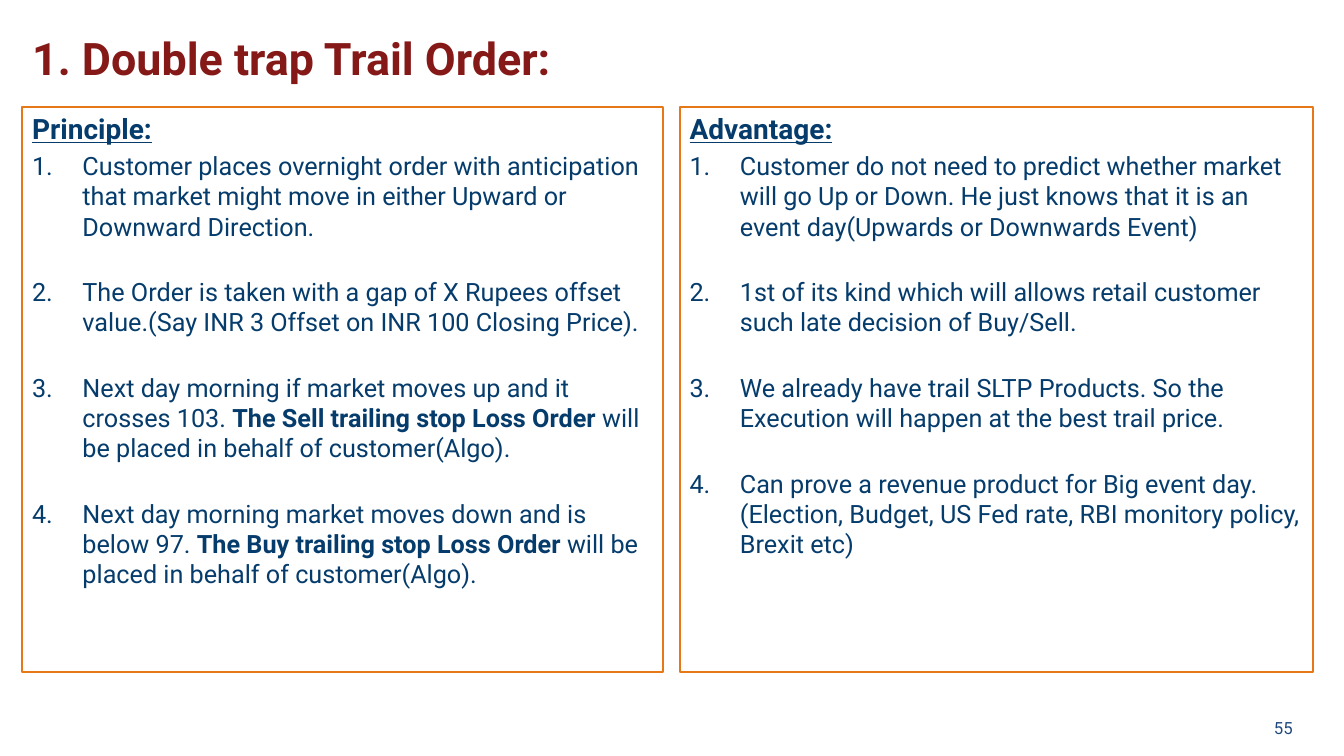
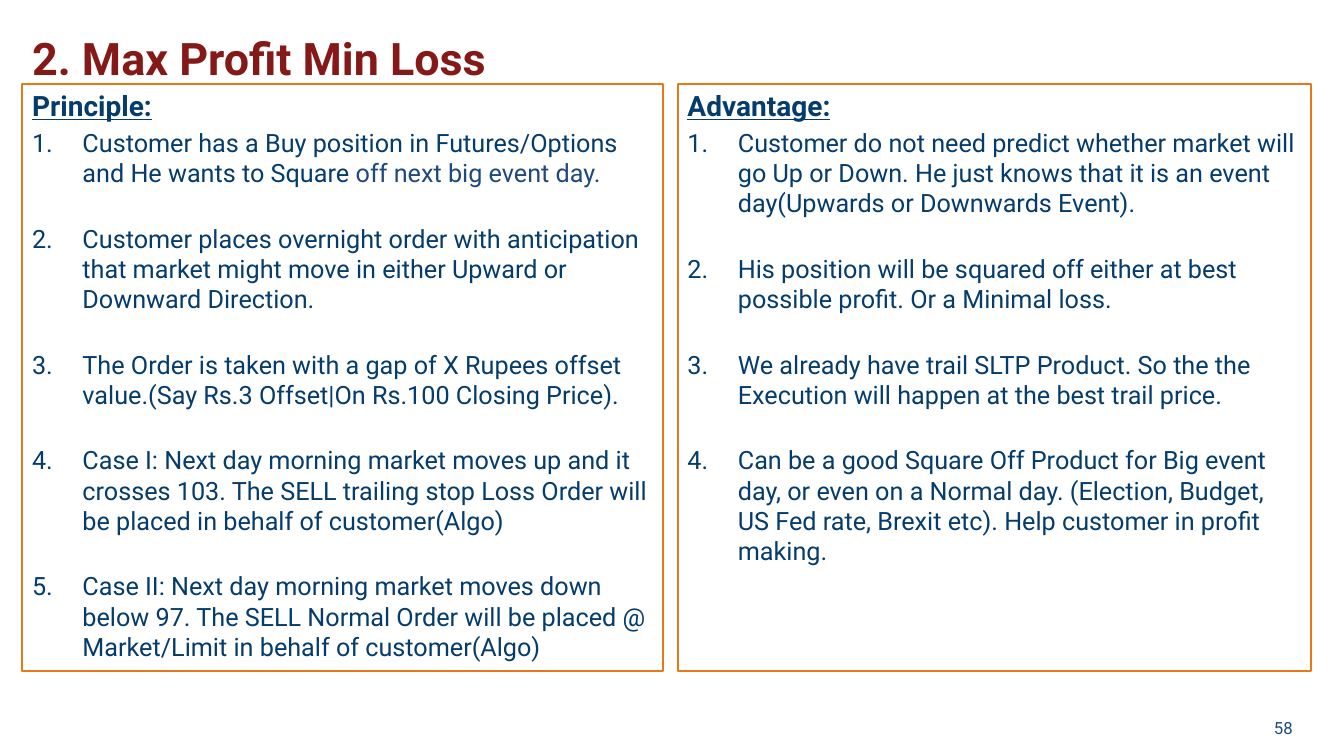
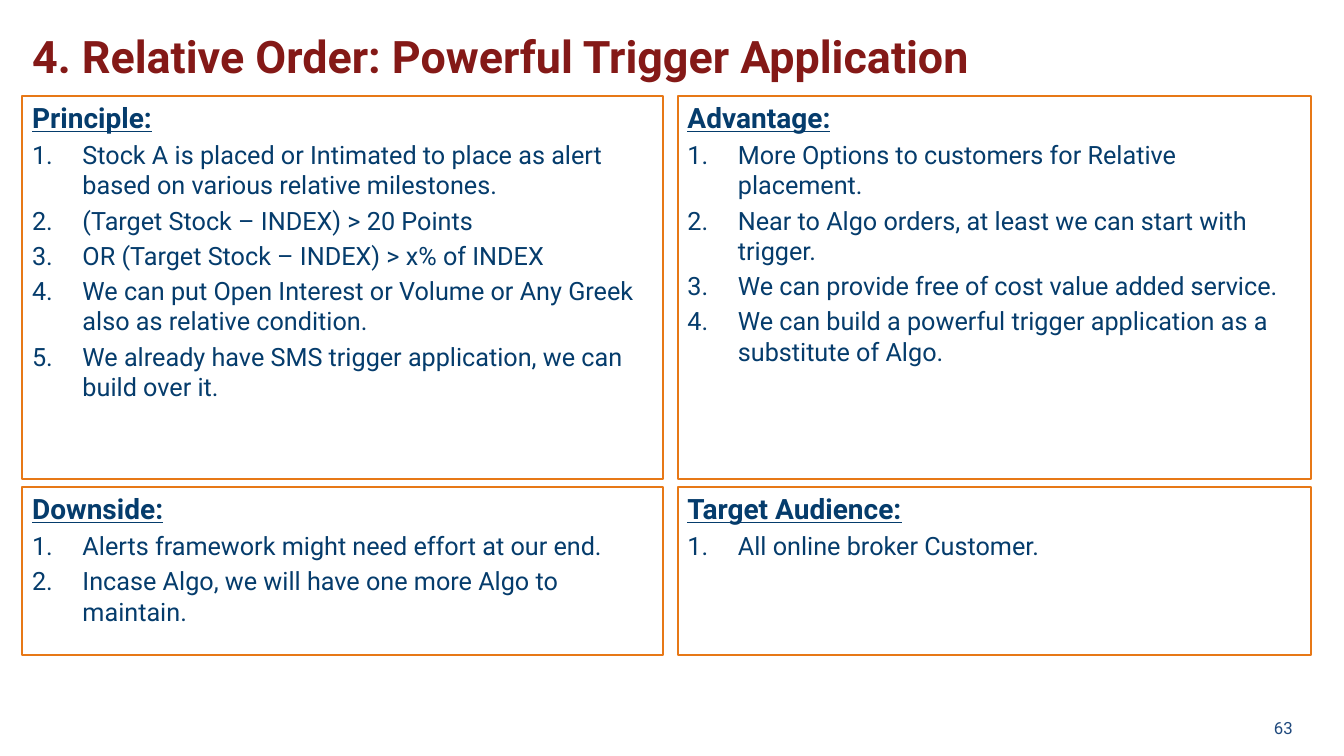
"""Build three slides that explain trading order types in outlined panels."""
from lxml.etree import SubElement
from pptx import Presentation
from pptx.dml.color import RGBColor
from pptx.enum.shapes import MSO_SHAPE
from pptx.enum.text import MSO_ANCHOR, PP_ALIGN
from pptx.oxml.ns import qn
from pptx.util import Inches, Pt

NAVY, BLUE, MAROON, ORANGE = "053C6C", "1F497D", "841917", "E77817"
FONT = "Roboto"
LEFT, LEFT_WIDTH, RIGHT_WIDTH = 0.22, 6.36, 6.28
HEADING_GAP, TIGHT, LOOSE = 3.6, 3.6, 25.2


def paint(color, value):
    """Set a colour format to a hex value."""
    color.rgb = RGBColor.from_string(value)


def write(paragraph, text, size=18, color=NAVY, bold=False, underline=False):
    """Add one formatted run to a paragraph."""
    run = paragraph.add_run()
    run.text = text
    run.font.name = FONT
    run.font.size = Pt(size)
    run.font.bold = bold
    run.font.underline = underline
    paint(run.font.color, color)


SLIDES = [
    {
        "title": "1. Double trap Trail Order:", "title_top": 0.26, "number": "55",
        "right": 6.74, "gap": LOOSE,
        "rows": [(1.06, 5.61, [
            ("Principle:", [
                "Customer places overnight order with anticipation that market might move in either Upward or Downward Direction.",
                "The Order is taken with a gap of X Rupees offset value.(Say INR 3 Offset on INR 100 Closing Price).",
                [("Next day morning if market moves up and it crosses 103. ", {}),
                 ("The Sell trailing stop Loss Order ", {"bold": True}),
                 ("will be placed in behalf of customer(Algo).", {})],
                [("Next day morning market moves down and is below 97. ", {}),
                 ("The Buy trailing stop Loss Order ", {"bold": True}),
                 ("will be placed in behalf of customer(Algo).", {})],
            ]),
            ("Advantage:", [
                "Customer do not need to predict whether market will go Up or Down. He just knows that it is an event day(Upwards or Downwards Event)",
                "1st of its kind which will allows retail customer such late decision of Buy/Sell.",
                "We already have trail SLTP Products. So the Execution will happen at the best trail price.",
                "Can prove a revenue product for Big event day. (Election, Budget, US Fed rate, RBI monitory policy, Brexit etc)",
            ]),
        ])],
    },
    {
        "title": "2. Max Profit Min Loss", "title_top": 0.26, "number": "58",
        "right": 6.72, "gap": LOOSE,
        "rows": [(0.83, 5.83, [
            ("Principle:", [
                [("Customer has a Buy position in Futures/Options and He wants to Square ", {}),
                 ("off next big event day.", {"color": BLUE})],
                "Customer places overnight order with anticipation that market might move in either Upward or Downward Direction.",
                "The Order is taken with a gap of X Rupees offset value.(Say Rs.3 Offset|On Rs.100 Closing Price).",
                "Case I: Next day morning market moves up and it crosses 103. The SELL trailing stop Loss Order will be placed in behalf of customer(Algo)",
                "Case II: Next day morning market moves down below 97. The SELL Normal Order will be placed @ Market/Limit in behalf of customer(Algo)",
            ]),
            ("Advantage:", [
                "Customer do not need predict whether market will go Up or Down. He just knows that it is an event day(Upwards or Downwards Event).",
                "His position will be squared off either at best possible profit. Or a Minimal loss.",
                "We already have trail SLTP Product. So the the Execution will happen at the best trail price.",
                "Can be a good Square Off Product for Big event day, or even on a Normal day. (Election, Budget, US Fed rate, Brexit etc). Help customer in profit making.",
            ]),
        ])],
    },
    {
        "title": "4. Relative Order: Powerful Trigger Application", "title_top": 0.24, "number": "63",
        "right": 6.72, "gap": TIGHT,
        "rows": [
            (0.95, 3.8, [
                ("Principle:", [
                    "Stock A is placed or Intimated to place as alert based on various relative milestones.",
                    "(Target Stock – INDEX) > 20 Points",
                    "OR (Target Stock – INDEX) > x% of INDEX",
                    "We can put Open Interest or Volume or Any Greek also as relative condition.",
                    "We already have SMS trigger application, we can build over it.",
                ]),
                ("Advantage:", [
                    "More Options to customers for Relative placement.",
                    "Near to Algo orders, at least we can start with trigger.",
                    "We can provide free of cost value added service.",
                    "We can build a powerful trigger application as a substitute of Algo.",
                ]),
            ]),
            (4.83, 1.67, [
                ("Downside:", [
                    "Alerts framework might need effort at our end.",
                    "Incase Algo, we will have one more Algo to maintain.",
                ]),
                ("Target Audience:", ["All online broker Customer."]),
            ]),
        ],
    },
]

deck = Presentation()
deck.slide_width, deck.slide_height = Inches(13.33), Inches(7.5)

for content in SLIDES:
    slide = deck.slides.add_slide(deck.slide_layouts[6])

    title = slide.shapes.add_textbox(Inches(LEFT), Inches(content["title_top"]), Inches(12.78), Inches(0.82)).text_frame
    title.word_wrap = True
    write(title.paragraphs[0], content["title"], size=32, color=MAROON, bold=True)

    number = slide.shapes.add_textbox(Inches(12.25), Inches(7.02), Inches(0.67), Inches(0.4)).text_frame
    number.word_wrap = True
    number.vertical_anchor = MSO_ANCHOR.MIDDLE
    number.paragraphs[0].alignment = PP_ALIGN.RIGHT
    write(number.paragraphs[0], content["number"], size=12, color=BLUE)

    columns = [(LEFT, LEFT_WIDTH), (content["right"], RIGHT_WIDTH)]
    for top, height, panels in content["rows"]:
        for (left, width), (heading, points) in zip(columns, panels):
            panel = slide.shapes.add_shape(
                MSO_SHAPE.RECTANGLE, Inches(left), Inches(top), Inches(width), Inches(height))
            panel.shadow.inherit = False
            panel.fill.background()
            paint(panel.line.color, ORANGE)
            panel.line.width = Pt(1.5)

            body = panel.text_frame
            body.word_wrap = True
            body.vertical_anchor = MSO_ANCHOR.TOP
            body.paragraphs[0].alignment = PP_ALIGN.LEFT
            write(body.paragraphs[0], heading, size=20, bold=True, underline=True)

            for index, point in enumerate(points):
                item = body.add_paragraph()
                properties = item._p.get_or_add_pPr()
                properties.set("marL", str(Inches(0.5)))
                properties.set("indent", str(Inches(-0.5)))
                SubElement(properties, qn("a:buFont"), typeface="+mj-lt")
                SubElement(properties, qn("a:buAutoNum"), type="arabicPeriod")
                item.alignment = PP_ALIGN.LEFT
                item.space_before = Pt(content["gap"] if index else HEADING_GAP)
                for text, style in [(point, {})] if isinstance(point, str) else point:
                    write(item, text, **style)

deck.save("out.pptx")
